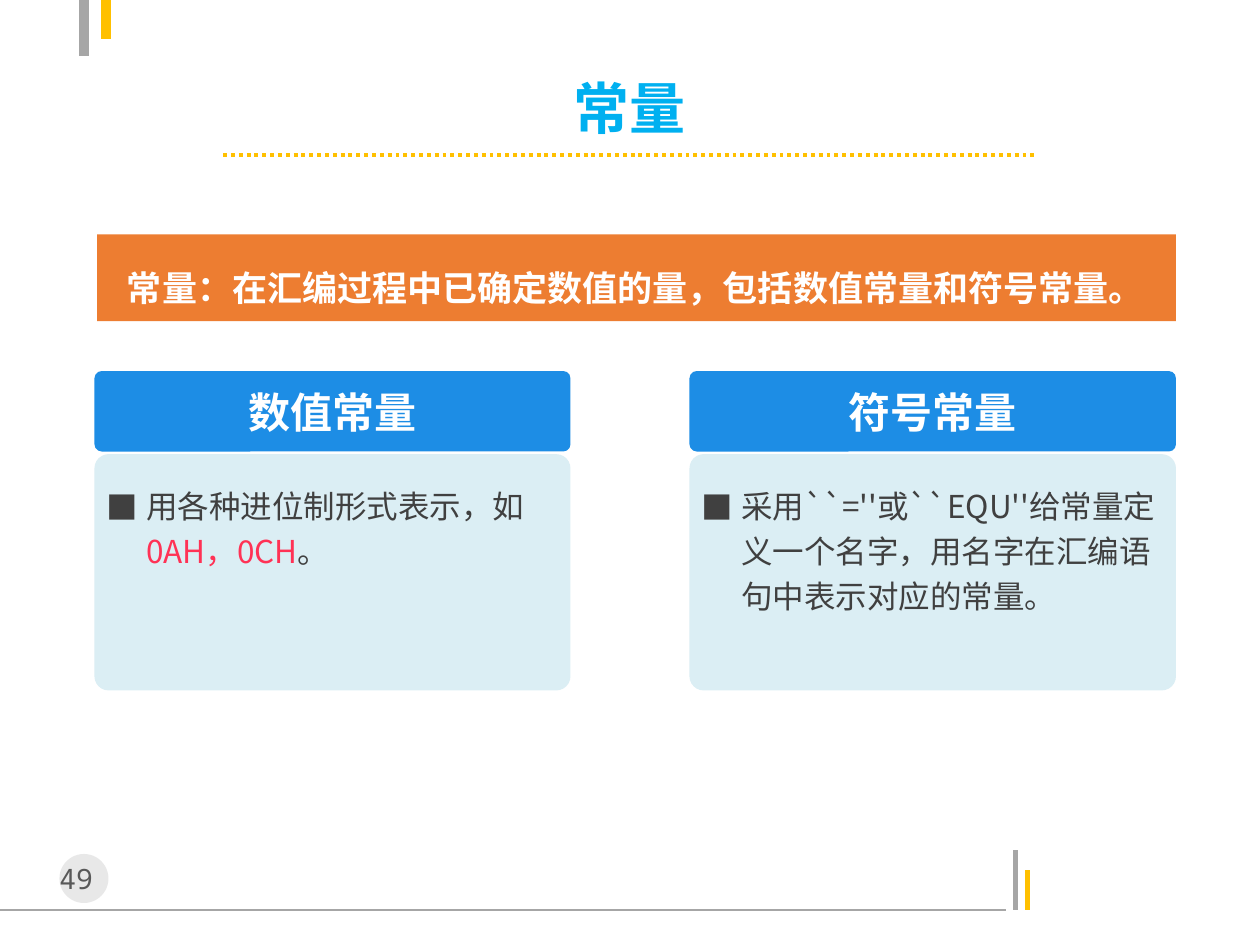
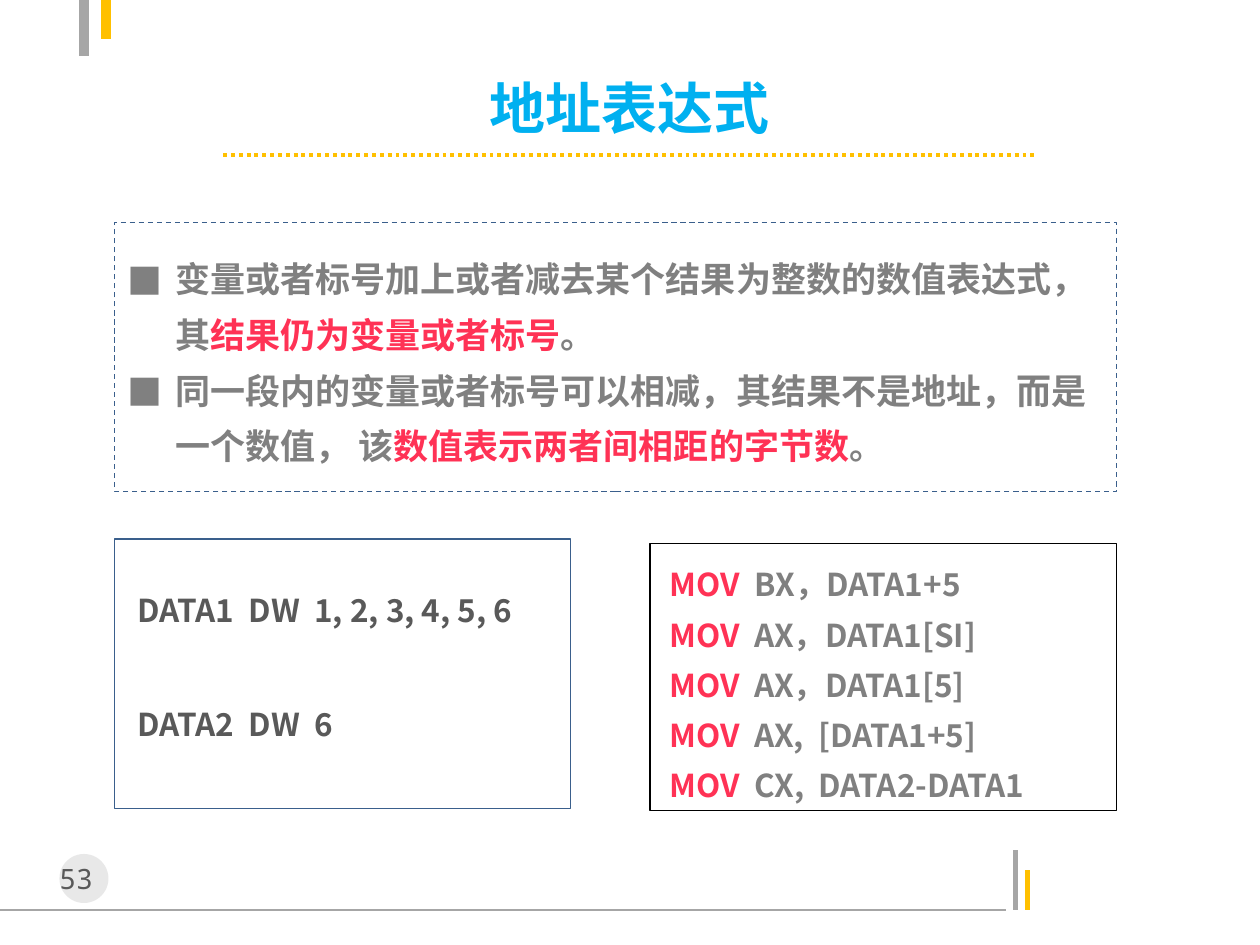
from dataclasses import dataclass

from lxml.etree import SubElement
from pptx import Presentation
from pptx.dml.color import RGBColor
from pptx.enum.dml import MSO_LINE
from pptx.enum.shapes import MSO_CONNECTOR, MSO_SHAPE
from pptx.enum.text import MSO_ANCHOR, PP_ALIGN
from pptx.oxml.ns import qn
from pptx.util import Pt


@dataclass(frozen=True)
class Theme:
    font: str = "Noto Sans CJK SC"
    heading_font: str = "Calibri"
    number_font: str = "Noto Sans Mono"
    title: str = "00B0F0"
    accent: str = "FFC000"
    rule: str = "A6A6A6"
    disc: str = "BFBFBF"
    banner: str = "ED7D31"
    heading: str = "1D8DE5"
    panel: str = "DBEEF4"
    white: str = "FFFFFF"
    black: str = "000000"
    frame: str = "3A5F8C"
    dark: str = "404040"
    medium: str = "595959"
    soft: str = "808080"
    highlight: str = "FF3255"
    title_size: int = 32
    heading_size: int = 24
    lead_size: int = 20
    body_size: int = 18
    number_size: int = 16


class Painter:
    def __init__(self, deck, theme):
        self.deck = deck
        self.theme = theme
        self.page = None

    def new_page(self, title, number):
        """Start a page with its frame lines, title and page number."""
        theme = self.theme
        self.page = self.deck.slides.add_slide(self.deck.slide_layouts[6])
        self.line((0, 520), (575, 520), theme.rule, 0.75)
        self.line((580.5, 520), (580.5, 485.5), theme.rule, 3)
        self.line((587, 520), (587, 497), theme.accent, 3)
        self.line((48, 32), (48, 0), theme.rule, 6)
        self.line((60.5, 0), (60.5, 22.5), theme.accent, 6)
        self.shape(MSO_SHAPE.OVAL, (34, 488, 28, 28), fill=theme.disc, alpha=35)
        self.text((18, 489, 51, 27), [[(str(number), theme.medium)]],
                  theme.number_size, font=theme.number_font, align=PP_ALIGN.CENTER)
        self.text((99, 43, 522, 36), [[(title, theme.title)]], theme.title_size,
                  bold=True, align=PP_ALIGN.CENTER, anchor=MSO_ANCHOR.MIDDLE)
        self.line((127.5, 88.5), (592.5, 88.5), theme.accent, 2.25,
                  MSO_LINE.ROUND_DOT)

    def line(self, start, end, color, width, dash=None):
        line = self.page.shapes.add_connector(
            MSO_CONNECTOR.STRAIGHT, *(Pt(value) for value in start + end))
        line.line.color.rgb = RGBColor.from_string(color)
        line.line.width = Pt(width)
        if dash:
            line.line.dash_style = dash
        SubElement(line._element.spPr, qn("a:effectLst"))

    def shape(self, kind, area, fill=None, outline=None, dash=None,
              corner=None, alpha=None):
        shape = self.page.shapes.add_shape(kind, *(Pt(value) for value in area))
        shape.shadow.inherit = False
        if corner is not None:
            shape.adjustments[0] = corner
        if fill:
            shape.fill.solid()
            shape.fill.fore_color.rgb = RGBColor.from_string(fill)
        else:
            shape.fill.background()
        if alpha:
            color = shape._element.spPr.find(qn("a:solidFill"))[0]
            SubElement(color, qn("a:alpha"), val=str(alpha * 1000))
        if outline:
            shape.line.color.rgb = RGBColor.from_string(outline)
            shape.line.width = Pt(0.75)
            if dash:
                shape.line.dash_style = dash
        else:
            shape.line.fill.background()
        return shape

    def text(self, area, paragraphs, size, **style):
        box = self.page.shapes.add_textbox(*(Pt(value) for value in area))
        self.fill_text(box, paragraphs, size, **style)

    def fill_text(self, box, paragraphs, size, font=None, bold=False,
                  align=PP_ALIGN.LEFT, anchor=MSO_ANCHOR.TOP, pitch=None,
                  gap=0, indent=None):
        """Fill a box with paragraphs of (text, colour) spans; an indent adds bullets."""
        frame = box.text_frame
        frame.word_wrap = True
        frame.vertical_anchor = anchor
        for index, spans in enumerate(paragraphs):
            para = frame.add_paragraph() if index else frame.paragraphs[0]
            para.alignment = align
            if pitch:
                para.line_spacing = Pt(pitch)
            if index and gap:
                para.space_before = Pt(gap)
            if indent:
                self.bullet(para, indent)
            for content, color in spans:
                span = para.add_run()
                span.text = content
                span.font.size = Pt(size)
                span.font.bold = bold
                span.font.color.rgb = RGBColor.from_string(color)
                span.font.name = font or self.theme.font
                SubElement(span._r.get_or_add_rPr(), qn("a:ea"),
                           typeface=self.theme.font)

    def bullet(self, para, indent):
        properties = para._p.get_or_add_pPr()
        properties.set("marL", str(Pt(indent)))
        properties.set("indent", str(-Pt(indent)))
        SubElement(properties, qn("a:buFont"), typeface=self.theme.font)
        SubElement(properties, qn("a:buChar"), char="■")

    def card(self, left, width, heading, spans):
        """Draw a coloured heading above a panel with one bullet."""
        theme = self.theme
        self.shape(MSO_SHAPE.ROUNDED_RECTANGLE, (left, 259.5, width, 135),
                   theme.panel, corner=0.06)
        header = self.shape(MSO_SHAPE.ROUNDED_RECTANGLE, (left, 212, width, 46),
                            theme.heading, corner=0.09)
        self.fill_text(header, [[(heading, theme.white)]], theme.heading_size,
                       font=theme.heading_font, bold=True, align=PP_ALIGN.CENTER,
                       anchor=MSO_ANCHOR.MIDDLE)
        self.text((left, 270.5, width, 86), [spans], theme.body_size,
                  pitch=25.7, indent=22.5)


def constants_page(painter):
    theme = painter.theme
    painter.new_page("常量", 49)
    painter.card(54, 272, "数值常量", [
        ("用各种进位制形式表示，如", theme.dark),
        ("0AH，0CH", theme.highlight), ("。", theme.dark)])
    painter.card(394, 278, "符号常量", [
        ("采用``=''或``EQU''给常量定义一个名字，用名字在汇编语句中表示对应的常量。",
         theme.dark)])
    painter.shape(MSO_SHAPE.RECTANGLE, (55.5, 134, 616.5, 49.5), theme.banner)
    painter.text((65.5, 142, 598, 39), [[
        ("常量：在汇编过程中已确定数值的量，包括数值常量和符号常量。", theme.white)]],
        theme.lead_size, bold=True, pitch=31)


def address_page(painter):
    theme = painter.theme
    painter.new_page("地址表达式", 53)
    rules = [
        ("变量或者标号加上或者减去某个结果为整数的数值表达式，其", "结果仍为变量或者标号"),
        ("同一段内的变量或者标号可以相减，其结果不是地址，而是一个数值， 该",
         "数值表示两者间相距的字节数"),
    ]
    painter.shape(MSO_SHAPE.RECTANGLE, (65.5, 127, 572.5, 154),
                  outline=theme.frame, dash=MSO_LINE.DASH)
    painter.text((65.5, 136, 572.5, 136), [
        [(lead, theme.soft), (key, theme.highlight), ("。", theme.soft)]
        for lead, key in rules],
        theme.lead_size, bold=True, pitch=31.8, indent=27.5)

    painter.shape(MSO_SHAPE.RECTANGLE, (65.5, 308, 260.5, 154), outline=theme.frame)
    data = ["DATA1  DW  1, 2, 3, 4, 5, 6", "DATA2  DW  6"]
    painter.text((71.5, 334, 254.5, 94), [[(line, theme.medium)] for line in data],
                 theme.body_size, bold=True, pitch=21.7, gap=43.4)

    operands = ["BX，DATA1+5", "AX，DATA1[SI]", "AX，DATA1[5]",
                "AX,  [DATA1+5]", "CX,  DATA2-DATA1"]
    code = painter.shape(MSO_SHAPE.RECTANGLE, (371.5, 310.5, 266.5, 152.5),
                         outline=theme.black)
    code.text_frame.margin_top = Pt(5.5)
    painter.fill_text(code, [[(" MOV", theme.highlight), ("  " + operand, theme.soft)]
                             for operand in operands],
                      theme.body_size, bold=True, pitch=28.7)


def main():
    deck = Presentation()
    deck.slide_width, deck.slide_height = Pt(720), Pt(540)
    painter = Painter(deck, Theme())
    constants_page(painter)
    address_page(painter)
    deck.save("out.pptx")


if __name__ == "__main__":
    main()
